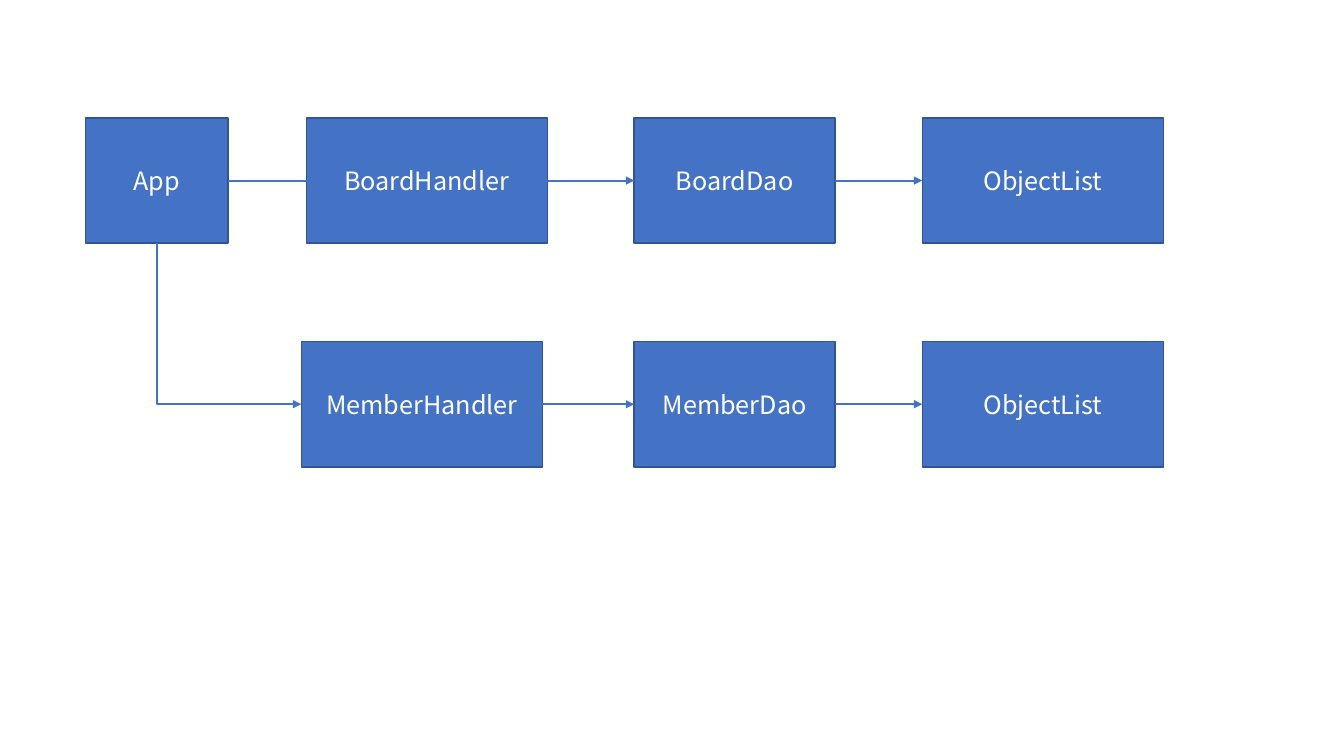
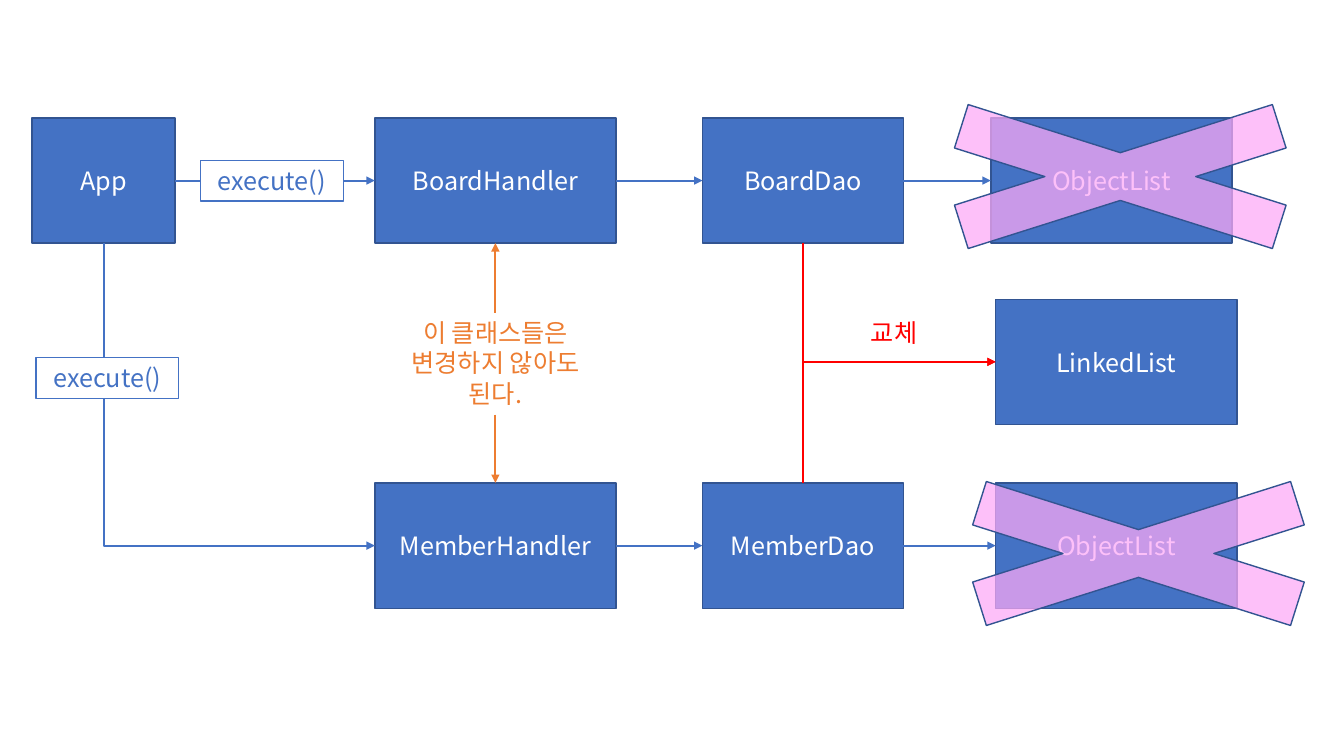
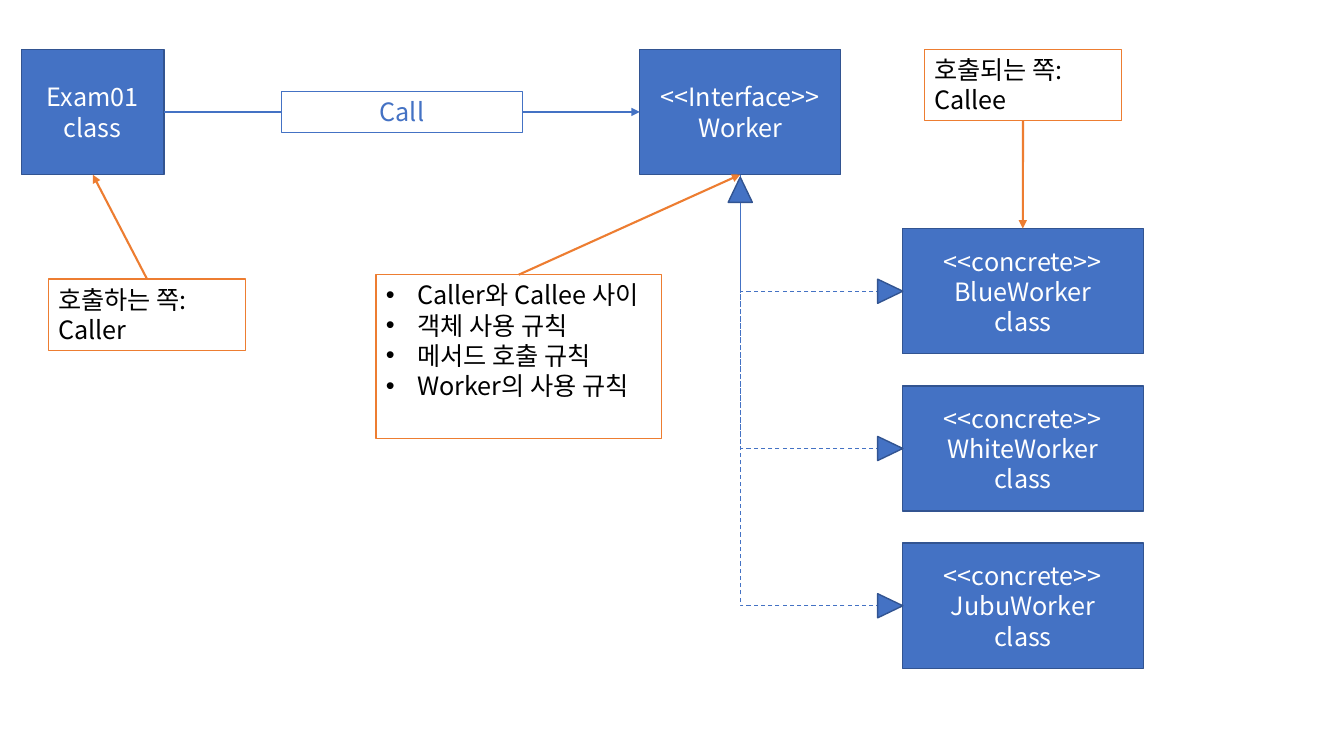
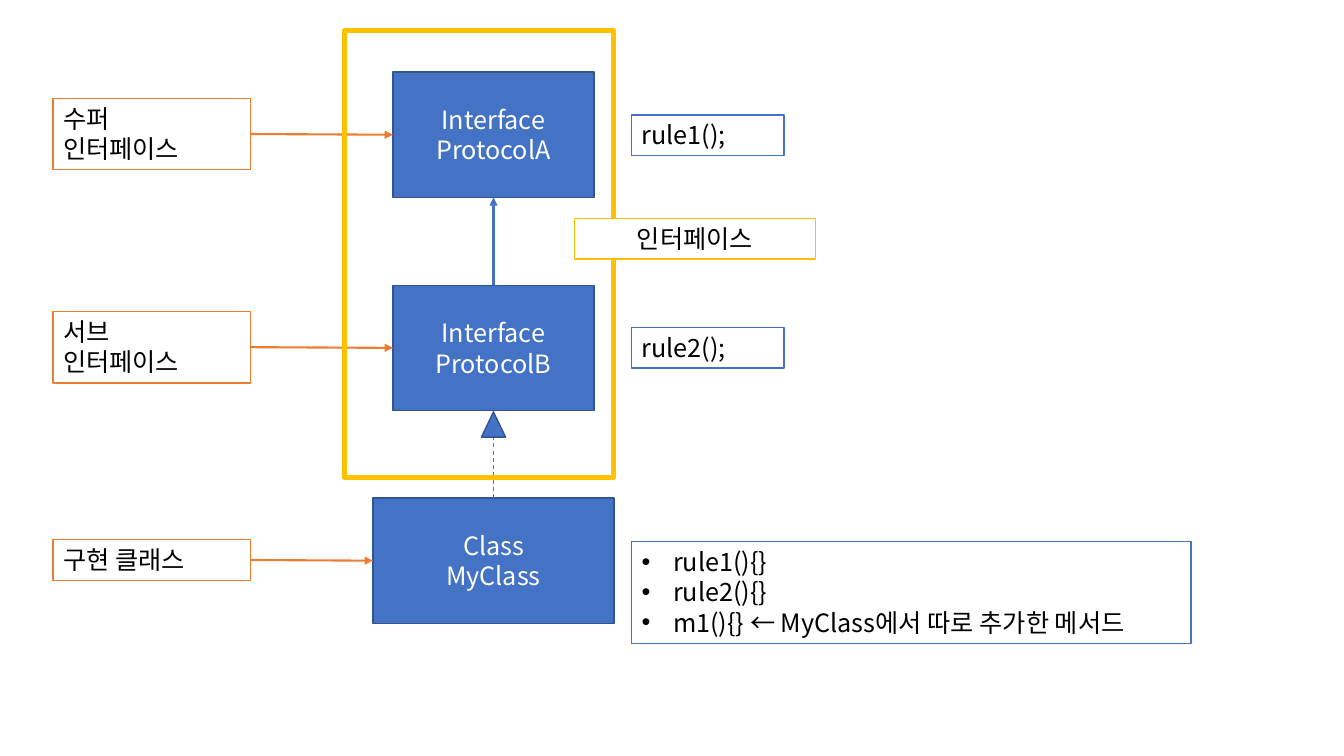
from dataclasses import dataclass
from enum import IntEnum

from pptx import Presentation
from pptx.dml.color import RGBColor
from pptx.enum.dml import MSO_LINE
from pptx.enum.shapes import MSO_CONNECTOR, MSO_SHAPE
from pptx.enum.text import MSO_ANCHOR, MSO_AUTO_SIZE, PP_ALIGN
from pptx.oxml.ns import qn
from pptx.util import Pt
from lxml.etree import SubElement


@dataclass(frozen=True)
class Theme:
    font: str = "Noto Sans CJK KR"
    text_size: float = 18
    blue: str = "4472C4"
    navy: str = "325491"
    orange: str = "ED7D31"
    red: str = "FF0000"
    gold: str = "FFC000"
    pink: str = "FDA9F7"
    white: str = "FFFFFF"
    black: str = "000000"
    outline: float = 1
    arrow: float = 1.5
    dashed: float = 0.75
    frame: float = 3.5


class Side(IntEnum):
    TOP = 0
    LEFT = 1
    BOTTOM = 2
    RIGHT = 3


THEME = Theme()
NODE_HEIGHT = 89.5
APP_WIDTH = 102
DAO_WIDTH = 143.5
CLASS_WIDTH = 172.25
LABEL_WIDTH = 141
LINE_HEIGHT = 22
LABEL_PADDING = 7
BULLET_INDENT = 22.5
TRIANGLE_WIDTH, TRIANGLE_HEIGHT = 17.25, 18


def rgb(color):
    return RGBColor.from_string(color)


def label_height(lines):
    return lines * LINE_HEIGHT + LABEL_PADDING


def write_text(box, text, color, align):
    frame = box.text_frame
    frame.word_wrap = True
    frame.text = text
    for paragraph in frame.paragraphs:
        paragraph.alignment = align
        for span in paragraph.runs:
            span.font.size = Pt(THEME.text_size)
            span.font.name = THEME.font
            span.font.color.rgb = rgb(color)
            # East Asian glyphs take their typeface from a separate element.
            SubElement(span.font._element, qn("a:ea"), typeface=THEME.font)


def add_bullets(box):
    for paragraph in box.text_frame.paragraphs:
        properties = paragraph._p.get_or_add_pPr()
        properties.set("marL", str(Pt(BULLET_INDENT)))
        properties.set("indent", str(-Pt(BULLET_INDENT)))
        SubElement(properties, qn("a:buFont"), typeface="Arial")
        SubElement(properties, qn("a:buChar"), char="•")


def add_preset(page, preset, x, y, width, height, fill=THEME.blue,
               line=THEME.navy, weight=THEME.outline):
    shape = page.shapes.add_shape(preset, Pt(x), Pt(y), Pt(width), Pt(height))
    shape.shadow.inherit = False
    if fill:
        shape.fill.solid()
        shape.fill.fore_color.rgb = rgb(fill)
    else:
        shape.fill.background()
    shape.line.color.rgb = rgb(line)
    shape.line.width = Pt(weight)
    return shape


def add_node(page, text, x, y, width):
    """Blue class box with centred white text."""
    box = add_preset(page, MSO_SHAPE.RECTANGLE, x, y, width, NODE_HEIGHT)
    write_text(box, text, THEME.white, PP_ALIGN.CENTER)
    box.text_frame.vertical_anchor = MSO_ANCHOR.MIDDLE
    return box


def add_label(page, text, x, y, width, line, color=THEME.black,
              align=PP_ALIGN.LEFT, lines=None, bullets=False):
    """White outlined box; lines is given only when the text wraps."""
    height = label_height(lines or len(text.split("\n")))
    box = add_preset(page, MSO_SHAPE.RECTANGLE, x, y, width, height, THEME.white, line)
    write_text(box, text, color, align)
    box.text_frame.vertical_anchor = MSO_ANCHOR.TOP
    box.text_frame.auto_size = MSO_AUTO_SIZE.SHAPE_TO_FIT_TEXT
    if bullets:
        add_bullets(box)
    return box


def add_call_label(page, text, x, y, width):
    return add_label(page, text, x, y, width, THEME.blue, THEME.blue, PP_ALIGN.CENTER)


def add_note(page, text, x, y, width, lines, color, align):
    box = page.shapes.add_textbox(Pt(x), Pt(y), Pt(width), Pt(label_height(lines)))
    write_text(box, text, color, align)
    box.text_frame.auto_size = MSO_AUTO_SIZE.SHAPE_TO_FIT_TEXT
    return box


def add_triangle(page, x, y, rotation=0):
    triangle = add_preset(page, MSO_SHAPE.ISOSCELES_TRIANGLE, x, y,
                          TRIANGLE_WIDTH, TRIANGLE_HEIGHT)
    triangle.rotation = rotation


def add_cross(page, x, y):
    cross = add_preset(page, MSO_SHAPE.MATH_MULTIPLY, x, y, 437, 138.25, THEME.pink)
    color = cross.fill._xPr.find(qn("a:solidFill")).find(qn("a:srgbClr"))
    SubElement(color, qn("a:alpha"), val="72000")


def style_line(line, color, weight, arrow_end=None):
    """Finish a connector; arrow_end is headEnd, tailEnd or None for dashes."""
    line.line.color.rgb = rgb(color)
    line.line.width = Pt(weight)
    if arrow_end:
        SubElement(line.line._get_or_add_ln(), qn("a:" + arrow_end), type="triangle")
    else:
        line.line.dash_style = MSO_LINE.DASH
    SubElement(line._element.spPr, qn("a:effectLst"))


def join(page, kind, start, start_side, end, end_side):
    line = page.shapes.add_connector(kind, 0, 0, 0, 0)
    line.begin_connect(start, start_side)
    line.end_connect(end, end_side)
    return line


def add_arrow(page, start, start_side, end, end_side, color=THEME.blue):
    line = join(page, MSO_CONNECTOR.STRAIGHT, start, start_side, end, end_side)
    style_line(line, color, THEME.arrow, "tailEnd")


def add_arrow_row(page, *boxes):
    for start, end in zip(boxes, boxes[1:]):
        add_arrow(page, start, Side.RIGHT, end, Side.LEFT)


def add_elbow(page, target, source, source_side):
    """One-bend line from the target's left side to the source."""
    line = join(page, MSO_CONNECTOR.ELBOW, target, Side.LEFT, source, source_side)
    line._element.spPr.find(qn("a:prstGeom")).set("prst", "bentConnector2")
    return line


def add_elbow_arrow(page, target, source, source_side, color=THEME.blue):
    style_line(add_elbow(page, target, source, source_side), color, THEME.arrow, "headEnd")


def build_object_lists(page):
    top, bottom = 84.25, 244
    dao_x, list_x = 453, 658.75
    app = add_node(page, "App", 61, top, APP_WIDTH)
    board = [add_node(page, "BoardHandler", 218.75, top, CLASS_WIDTH),
             add_node(page, "BoardDao", dao_x, top, DAO_WIDTH),
             add_node(page, "ObjectList", list_x, top, CLASS_WIDTH)]
    member = [add_node(page, "MemberHandler", 215.25, bottom, CLASS_WIDTH),
              add_node(page, "MemberDao", dao_x, bottom, DAO_WIDTH),
              add_node(page, "ObjectList", list_x, bottom, CLASS_WIDTH)]
    add_arrow_row(page, *board)
    add_arrow_row(page, *member)
    middle = Pt(top + NODE_HEIGHT / 2)
    app_line = page.shapes.add_connector(MSO_CONNECTOR.STRAIGHT, 0, middle, Pt(242.75), middle)
    app_line.begin_connect(app, Side.RIGHT)
    style_line(app_line, THEME.blue, THEME.arrow, "tailEnd")
    add_elbow_arrow(page, member[0], app, Side.BOTTOM)


def build_replacement(page):
    top, bottom = 84.25, 345
    handler_x, dao_x, new_list_x = 267.75, 501.75, 711.25
    app = add_node(page, "App", 23, top, APP_WIDTH)
    board = [add_node(page, "BoardHandler", handler_x, top, CLASS_WIDTH),
             add_node(page, "BoardDao", dao_x, top, DAO_WIDTH),
             add_node(page, "ObjectList", 707.75, top, CLASS_WIDTH)]
    member = [add_node(page, "MemberHandler", handler_x, bottom, CLASS_WIDTH),
              add_node(page, "MemberDao", dao_x, bottom, DAO_WIDTH),
              add_node(page, "ObjectList", new_list_x, bottom, CLASS_WIDTH)]
    add_arrow_row(page, app, *board)
    add_arrow_row(page, *member)
    add_elbow_arrow(page, member[0], app, Side.BOTTOM)

    linked_list = add_node(page, "LinkedList", new_list_x, 213.75, CLASS_WIDTH)
    add_cross(page, 581.75, 57)
    add_cross(page, 594.75, 326.25)
    add_elbow_arrow(page, linked_list, board[1], Side.BOTTOM, THEME.red)
    add_elbow_arrow(page, linked_list, member[1], Side.TOP, THEME.red)
    add_note(page, "교체", 615, 223.25, 60.5, 1, THEME.red, PP_ALIGN.LEFT)

    unchanged = add_note(page, "이 클래스들은 변경하지 않아도 된다.", 279, 223.25, 149.75, 3,
                         THEME.orange, PP_ALIGN.CENTER)
    add_arrow(page, unchanged, Side.TOP, board[0], Side.BOTTOM, THEME.orange)
    add_arrow(page, unchanged, Side.BOTTOM, member[0], Side.TOP, THEME.orange)
    add_call_label(page, "execute()", 25.75, 255.5, APP_WIDTH)
    add_call_label(page, "execute()", 143.25, 114.5, APP_WIDTH)


def build_caller_and_callee(page):
    top = 35.25
    worker_x, concrete_x = 457, 644.5
    first_concrete, concrete_pitch = 163.25, 112.35
    exam = add_node(page, "Exam01\nclass", 15.25, top, APP_WIDTH)
    worker = add_node(page, "<<Interface>>\nWorker", worker_x, top, DAO_WIDTH)
    add_arrow_row(page, exam, worker)

    concretes = []
    for index, name in enumerate(("BlueWorker", "WhiteWorker", "JubuWorker")):
        y = first_concrete + index * concrete_pitch
        box = add_node(page, f"<<concrete>>\n{name}\nclass", concrete_x, y, CLASS_WIDTH)
        style_line(add_elbow(page, box, worker, Side.BOTTOM), THEME.blue, THEME.dashed)
        add_triangle(page, concrete_x - TRIANGLE_WIDTH,
                     y + (NODE_HEIGHT - TRIANGLE_HEIGHT) / 2, 90)
        concretes.append(box)
    add_triangle(page, worker_x + (DAO_WIDTH - TRIANGLE_WIDTH) / 2, 126.5)

    add_call_label(page, "Call", 201, 65.5, CLASS_WIDTH)
    caller = add_label(page, "호출하는 쪽:\nCaller", 34.5, 199.25, LABEL_WIDTH, THEME.orange)
    callee = add_label(page, "호출되는 쪽:\nCallee", 660.25, top, LABEL_WIDTH, THEME.orange)
    rules = add_label(page, "Caller와 Callee 사이\n객체 사용 규칙\n메서드 호출 규칙\nWorker의 사용 규칙",
                      268.5, 196.25, 204, THEME.orange, lines=5, bullets=True)
    add_arrow(page, caller, Side.TOP, exam, Side.BOTTOM, THEME.orange)
    add_arrow(page, callee, Side.BOTTOM, concretes[0], Side.TOP, THEME.orange)
    add_arrow(page, rules, Side.TOP, worker, Side.BOTTOM, THEME.orange)


def build_interface_inheritance(page):
    center, label_x, member_x = 352.5, 38, 451.25
    interface_x = center - DAO_WIDTH / 2
    parent = add_node(page, "Interface\nProtocolA", interface_x, 51.5, DAO_WIDTH)
    child = add_node(page, "Interface\nProtocolB", interface_x, 203.75, DAO_WIDTH)
    my_class = add_node(page, "Class\nMyClass", center - CLASS_WIDTH / 2, 355.75, CLASS_WIDTH)
    add_arrow(page, child, Side.TOP, parent, Side.BOTTOM)
    realization = join(page, MSO_CONNECTOR.STRAIGHT, my_class, Side.TOP, child, Side.BOTTOM)
    style_line(realization, THEME.blue, THEME.dashed)
    add_triangle(page, center - TRIANGLE_WIDTH / 2, 294.25)

    for text, y, target in (("수퍼\n인터페이스", 70.25, parent),
                            ("서브\n인터페이스", 222.5, child),
                            ("구현 클래스", 385.5, my_class)):
        label = add_label(page, text, label_x, y, LABEL_WIDTH, THEME.orange)
        add_arrow(page, label, Side.RIGHT, target, Side.LEFT, THEME.orange)

    add_label(page, "rule1();", member_x, 82, 108.75, THEME.blue)
    add_label(page, "rule2();", member_x, 234, 108.75, THEME.blue)
    add_label(page, "rule1(){}\nrule2(){}\nm1(){} ← MyClass에서 따로 추가한 메서드",
              member_x, 386.75, 399.5, THEME.blue, bullets=True)
    add_preset(page, MSO_SHAPE.RECTANGLE, 246.25, 21.5, 192.25, 319.5,
               fill=None, line=THEME.gold, weight=THEME.frame)
    add_label(page, "인터페이스", 410.25, 156, CLASS_WIDTH, THEME.gold, align=PP_ALIGN.CENTER)


def main():
    deck = Presentation()
    deck.slide_width, deck.slide_height = Pt(960), Pt(540)
    blank = deck.slide_layouts[6]
    for build in (build_object_lists, build_replacement,
                  build_caller_and_callee, build_interface_inheritance):
        build(deck.slides.add_slide(blank))
    deck.save("out.pptx")


if __name__ == "__main__":
    main()
